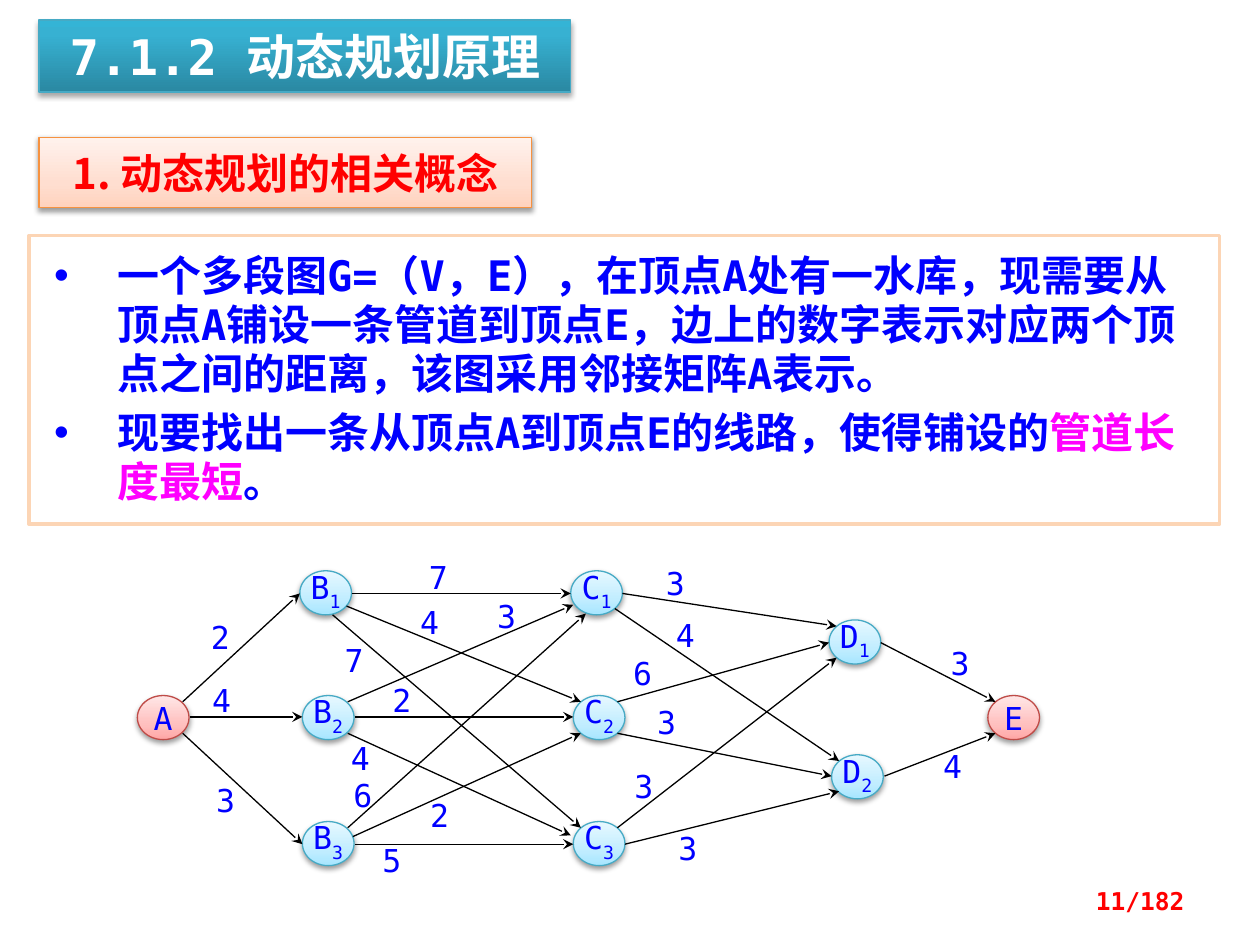
from typing import NamedTuple

from lxml.etree import SubElement
from pptx import Presentation
from pptx.dml.color import RGBColor
from pptx.enum.shapes import MSO_CONNECTOR as Link, MSO_SHAPE as Form
from pptx.enum.text import MSO_ANCHOR as Anchor, MSO_AUTO_SIZE as Fit, PP_ALIGN as Align
from pptx.oxml.ns import qn
from pptx.util import Inches, Pt

MONO, SANS = "DejaVu Sans Mono", "Noto Sans CJK SC"
BLUE, RED, PINK, WHITE = "0000FF", "FF0000", "FF00FF", "FFFFFF"


class Look(NamedTuple):
    stops: tuple
    line: str
    alpha: int = 38
    drop: float = 1.6


class Node(NamedTuple):
    name: str
    x: float
    y: float


class Edge(NamedTuple):
    start: tuple
    end: tuple
    cost: int
    spot: tuple


TEAL = Look(((0, "2A88A2"), (80, "37B1D2"), (100, "34B4D6")), "46AAC5", 35, 1.8)
PEACH = Look(((0, "FFD2BD"), (35, "FFDED0"), (100, "FFF2ED")), "F69240")
ROSE = Look(((0, "FFA6A5"), (35, "FFC0BF"), (100, "FFE7E7")), "BF4C48")
SKY = Look(((0, "A7E6FF"), (35, "C1EDFF"), (100, "E7F8FF")), "46AAC5")

NODES = [
    Node("A", 1.09, 5.52),
    Node("B1", 2.38, 4.53), Node("B2", 2.4, 5.52), Node("B3", 2.4, 6.52),
    Node("C1", 4.53, 4.53), Node("C2", 4.55, 5.52), Node("C3", 4.55, 6.52),
    Node("D1", 6.58, 4.92), Node("D2", 6.6, 5.99),
    Node("E", 7.84, 5.52),
]

EDGES = [
    # A to B
    Edge((1.45, 5.57), (2.38, 4.71), 2, (1.6, 4.93)),
    Edge((1.51, 5.69), (2.4, 5.69), 4, (1.61, 5.43)),
    Edge((1.45, 5.82), (2.4, 6.7), 3, (1.64, 6.22)),
    # B to C
    Edge((2.79, 4.71), (4.53, 4.71), 7, (3.33, 4.45)),
    Edge((2.75, 4.81), (4.61, 5.57), 4, (3.26, 4.81)),
    Edge((2.64, 4.88), (4.61, 6.57), 7, (2.66, 5.11)),
    Edge((2.76, 5.57), (4.55, 4.8), 3, (3.87, 4.76)),
    Edge((2.82, 5.69), (4.55, 5.69), 2, (3.04, 5.43)),
    Edge((2.76, 5.82), (4.53, 6.63), 4, (2.71, 5.89)),
    Edge((2.76, 6.57), (4.65, 4.87), 6, (2.73, 6.18)),
    Edge((2.8, 6.64), (4.61, 5.82), 2, (3.34, 6.34)),
    Edge((2.82, 6.7), (4.55, 6.7), 5, (2.96, 6.7)),
    # C to D
    Edge((4.94, 4.71), (6.64, 4.97), 3, (5.21, 4.5)),
    Edge((4.88, 4.83), (6.66, 6.04), 4, (5.29, 4.91)),
    Edge((4.9, 5.57), (6.58, 5.1), 6, (4.95, 5.21)),
    Edge((4.9, 5.82), (6.6, 6.16), 3, (5.14, 5.6)),
    Edge((4.9, 6.57), (6.64, 5.22), 3, (4.96, 6.11)),
    Edge((4.96, 6.7), (6.66, 6.28), 3, (5.31, 6.6)),
    # D to E
    Edge((6.99, 5.1), (7.9, 5.57), 3, (7.47, 5.13)),
    Edge((7.02, 6.16), (7.9, 5.82), 4, (7.41, 5.95)),
]


def tint(code: str) -> RGBColor:
    return RGBColor.from_string(code)


def place(shape, x: float, y: float, w: float, h: float) -> None:
    shape.left, shape.top = Inches(x), Inches(y)
    shape.width, shape.height = Inches(w), Inches(h)


def style(run, size: float, code: str, bold: bool = False, face: str = MONO) -> None:
    font = run.font
    font.size, font.bold, font.name = Pt(size), bold, face
    font.color.rgb = tint(code)
    SubElement(run._r.get_or_add_rPr(), qn("a:ea"), typeface=SANS)


def frame(shape, side: float, edge: float):
    """Set margins and top anchor, and return the text frame."""
    text = shape.text_frame
    text.margin_left = text.margin_right = Inches(side)
    text.margin_top = text.margin_bottom = Inches(edge)
    text.vertical_anchor = Anchor.TOP
    text.auto_size = Fit.NONE
    text.word_wrap = True
    return text


def dress(shape, look: Look) -> None:
    """Apply an upward gradient, a thin outline and a soft shadow."""
    shape.fill.gradient()
    shape.fill.gradient_angle = 90
    stops = shape._element.spPr.find(qn("a:gradFill")).find(qn("a:gsLst"))
    stops.clear()
    for pos, code in look.stops:
        stop = SubElement(stops, qn("a:gs"), pos=str(pos * 1000))
        SubElement(stop, qn("a:srgbClr"), val=code)
    shape.line.color.rgb = tint(look.line)
    shape.line.width = Pt(0.75)
    shape.shadow.inherit = False
    shade = SubElement(shape._element.spPr.find(qn("a:effectLst")), qn("a:outerShdw"),
                       blurRad=str(Pt(3.1)), dist=str(Pt(look.drop)),
                       dir="5400000", rotWithShape="0")
    color = SubElement(shade, qn("a:srgbClr"), val="000000")
    SubElement(color, qn("a:alpha"), val=str(look.alpha * 1000))


def banner(shape, text: str, look: Look, size: float, code: str, face: str, edge: float) -> None:
    dress(shape, look)
    para = frame(shape, 0.1, edge).paragraphs[0]
    para.text = text
    para.alignment = Align.CENTER
    para.space_before = Pt(0)
    style(para.runs[0], size, code, True, face)


def mark(shape, text: str) -> None:
    """Write a graph label; a second character becomes a subscript."""
    para = frame(shape, 0, 0).paragraphs[0]
    para.alignment, para.line_spacing = Align.CENTER, Pt(20)
    for i, char in enumerate(text):
        run = para.add_run()
        run.text = char
        style(run, 18, BLUE)
        if i:
            run._r.get_or_add_rPr().set("baseline", "-30000")


def cost(shapes, edge: Edge) -> None:
    box = shapes.add_shape(Form.RECTANGLE, *map(Inches, (*edge.spot, 0.3, 0.24)))
    box.shadow.inherit = False
    box.fill.solid()
    box.fill.fore_color.rgb = tint(WHITE)
    box.line.fill.background()
    mark(box, str(edge.cost))


def circle(shapes, node: Node) -> None:
    oval = shapes.add_shape(Form.OVAL, *map(Inches, (node.x, node.y, 0.41, 0.35)))
    dress(oval, ROSE if node.name in "AE" else SKY)
    mark(oval, node.name)


def arrow(shapes, edge: Edge) -> None:
    line = shapes.add_connector(Link.STRAIGHT, *map(Inches, edge.start + edge.end))
    line.line.color.rgb = tint("000000")
    line.line.width = Pt(0.75)
    SubElement(line.line._get_or_add_ln(), qn("a:tailEnd"), type="stealth")
    SubElement(line._element.spPr, qn("a:effectLst"))


def story(body) -> None:
    place(body, 0.23, 1.87, 9.45, 2.29)
    body.fill.solid()
    body.fill.fore_color.rgb = tint(WHITE)
    body.line.color.rgb = tint("FCD5B5")
    body.line.width = Pt(2)
    text = frame(body, 0.1, 0.12)
    text.margin_left = Inches(0.2)
    items = [
        [("一个多段图G=（V，E），在顶点A处有一水库，现需要从顶点A铺设一条管道到顶点E，"
          "边上的数字表示对应两个顶点之间的距离，该图采用邻接矩阵A表示。", BLUE)],
        [("现要找出一条从顶点A到顶点E的线路，使得铺设的", BLUE),
         ("管道长度最短", PINK), ("。", BLUE)],
    ]
    for i, parts in enumerate(items):
        para = text.add_paragraph() if i else text.paragraphs[0]
        para.line_spacing, para.space_before = Pt(28), Pt(6 if i else 0)
        props = para._p.get_or_add_pPr()
        props.set("marL", str(Inches(0.5)))
        props.set("indent", str(-Inches(0.5)))
        SubElement(props, qn("a:buChar"), char="•")
        for words, code in parts:
            run = para.add_run()
            run.text = words
            style(run, 24, code, True)


def main() -> None:
    deck = Presentation()
    deck.slide_width, deck.slide_height = Inches(10), Inches(7.5)
    slide = deck.slides.add_slide(deck.slide_layouts[1])
    shapes = slide.shapes

    # Headings and text
    place(shapes.title, 0.31, 0.16, 4.22, 0.57)
    banner(shapes.title, "7.1.2 动态规划原理", TEAL, 28, WHITE, MONO, 0.05)
    story(slide.placeholders[1])
    topic = shapes.add_shape(Form.RECTANGLE, *map(Inches, (0.31, 1.09, 3.91, 0.56)))
    banner(topic, "1. 动态规划的相关概念", PEACH, 24, RED, SANS, 0.08)

    # Staged graph
    for edge in EDGES:
        cost(shapes, edge)
    for node in NODES:
        circle(shapes, node)
    for edge in EDGES:
        arrow(shapes, edge)

    # Page number
    page = shapes.add_textbox(*map(Inches, (7.17, 6.95, 2.33, 0.4)))
    text = frame(page, 0.1, 0.05)
    text.vertical_anchor = Anchor.MIDDLE
    text.text = "11/182"
    text.paragraphs[0].alignment = Align.RIGHT
    style(text.paragraphs[0].runs[0], 14, RED, True)

    deck.save("out.pptx")


if __name__ == "__main__":
    main()
